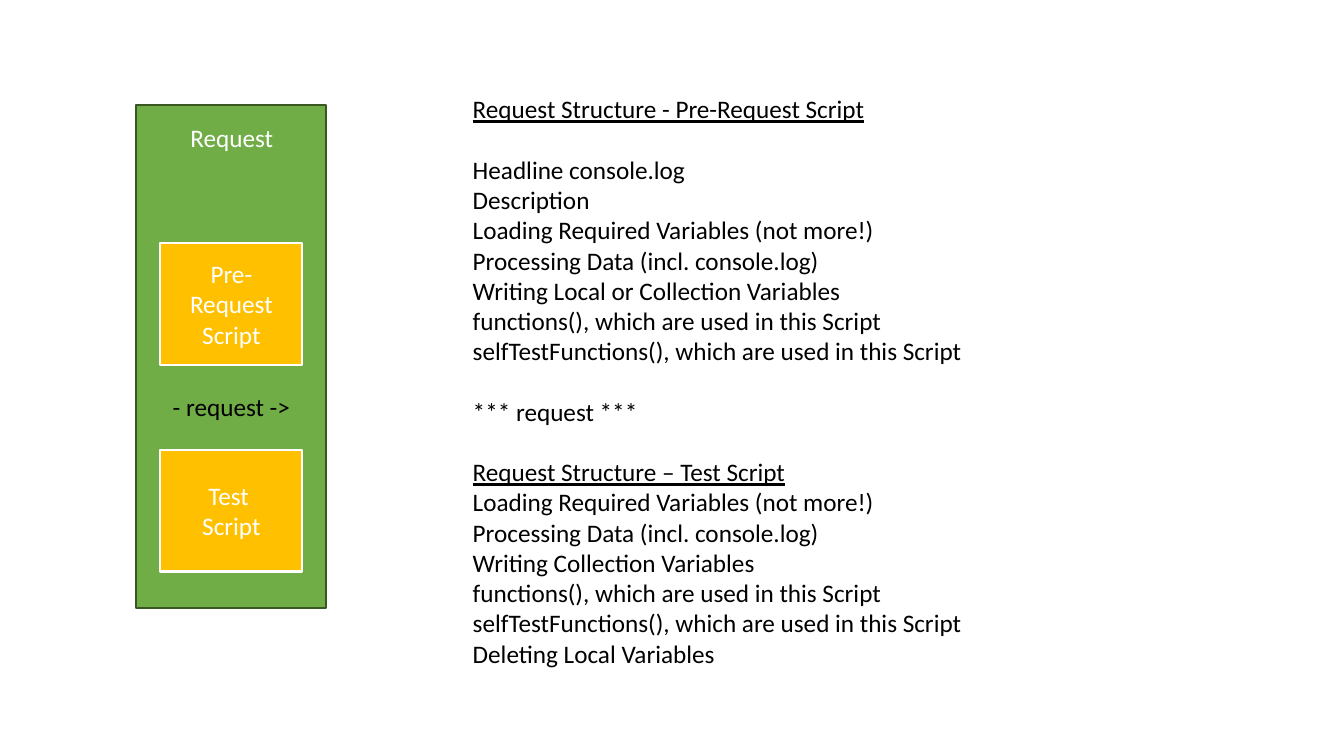
"""Build the slide on the structure of a request and its scripts."""
from dataclasses import dataclass

from pptx import Presentation
from pptx.dml.color import RGBColor
from pptx.enum.shapes import MSO_SHAPE
from pptx.enum.text import MSO_ANCHOR, MSO_AUTO_SIZE, PP_ALIGN
from pptx.slide import Slide
from pptx.text.text import _Paragraph as Para
from pptx.util import Inches, Pt


@dataclass(frozen=True)
class Theme:
    font: str = "Calibri"
    size: float = 18
    line: float = 1.5
    gap: float = 21.6
    green: str = "70AD47"
    dark: str = "385723"
    amber: str = "FFC000"
    white: str = "FFFFFF"
    black: str = "000000"


THEME = Theme()


@dataclass(frozen=True)
class Area:
    left: float
    top: float
    width: float
    height: float

    def emu(self) -> list[int]:
        return [Inches(n) for n in (self.left, self.top, self.width, self.height)]


@dataclass(frozen=True)
class Box:
    area: Area
    fill: str
    edge: str
    text: str = ""


@dataclass(frozen=True)
class Label:
    area: Area
    text: str
    color: str


@dataclass(frozen=True)
class Part:
    lines: tuple[str, ...]
    title: str = ""
    apart: bool = True


BOXES = (
    Box(Area(1.35, 1.04, 1.88, 4.99), THEME.green, THEME.dark),
    Box(Area(1.59, 2.41, 1.41, 1.21), THEME.amber, THEME.white, "Pre-Request Script"),
    Box(Area(1.59, 4.46, 1.41, 1.21), THEME.amber, THEME.white, "Test \nScript"),
)
LABELS = (
    Label(Area(1.53, 1.16, 1.54, 0.4), "Request", THEME.white),
    Label(Area(1.59, 3.83, 1.41, 0.4), "- request ->", THEME.black),
)
LOAD = ("Loading Required Variables (not more!)", "Processing Data (incl. console.log)")
CALLS = (
    "functions(), which are used in this Script",
    "selfTestFunctions(), which are used in this Script",
)
PARTS = (
    Part(
        ("Headline console.log", "Description", *LOAD,
         "Writing Local or Collection Variables", *CALLS),
        "Request Structure - Pre-Request Script",
    ),
    Part(("*** request ***",)),
    Part(
        (*LOAD, "Writing Collection Variables", *CALLS, "Deleting Local Variables"),
        "Request Structure – Test Script",
        False,
    ),
)
NOTES = Area(4.59, 0.88, 5.11, 5.86)


def write(para: Para, text: str, color: str, align: PP_ALIGN = PP_ALIGN.CENTER) -> None:
    para.text = text
    para.alignment = align
    for run in para.runs:
        run.font.name = THEME.font
        run.font.size = Pt(THEME.size)
        run.font.color.rgb = RGBColor.from_string(color)


def draw_box(slide: Slide, box: Box) -> None:
    shape = slide.shapes.add_shape(MSO_SHAPE.RECTANGLE, *box.area.emu())
    shape.shadow.inherit = False
    shape.fill.solid()
    shape.fill.fore_color.rgb = RGBColor.from_string(box.fill)
    shape.line.color.rgb = RGBColor.from_string(box.edge)
    shape.line.width = Pt(THEME.line)
    if box.text:
        frame = shape.text_frame
        frame.word_wrap = True
        frame.vertical_anchor = MSO_ANCHOR.MIDDLE
        write(frame.paragraphs[0], box.text, THEME.white)


def draw_label(slide: Slide, label: Label) -> None:
    frame = slide.shapes.add_textbox(*label.area.emu()).text_frame
    frame.word_wrap = True
    frame.auto_size = MSO_AUTO_SIZE.SHAPE_TO_FIT_TEXT
    write(frame.paragraphs[0], label.text, label.color)


def draw_notes(slide: Slide, area: Area, parts: tuple[Part, ...]) -> None:
    frame = slide.shapes.add_textbox(*area.emu()).text_frame
    frame.word_wrap = False
    frame.auto_size = MSO_AUTO_SIZE.SHAPE_TO_FIT_TEXT
    para = frame.paragraphs[0]
    for part in parts:
        rows = (part.title, *part.lines) if part.title else part.lines
        for spot, text in enumerate(rows):
            if para.text:
                para = frame.add_paragraph()
                if spot == 0 or (spot == 1 and part.apart):
                    para.space_before = Pt(THEME.gap)
            write(para, text, THEME.black, PP_ALIGN.LEFT)
            para.runs[0].font.underline = text == part.title


def main() -> None:
    deck = Presentation()
    deck.slide_width, deck.slide_height = Inches(13.33), Inches(7.5)
    slide = deck.slides.add_slide(deck.slide_layouts[6])
    for box in BOXES:
        draw_box(slide, box)
    for label in LABELS:
        draw_label(slide, label)
    draw_notes(slide, NOTES, PARTS)
    deck.save("out.pptx")


if __name__ == "__main__":
    main()
